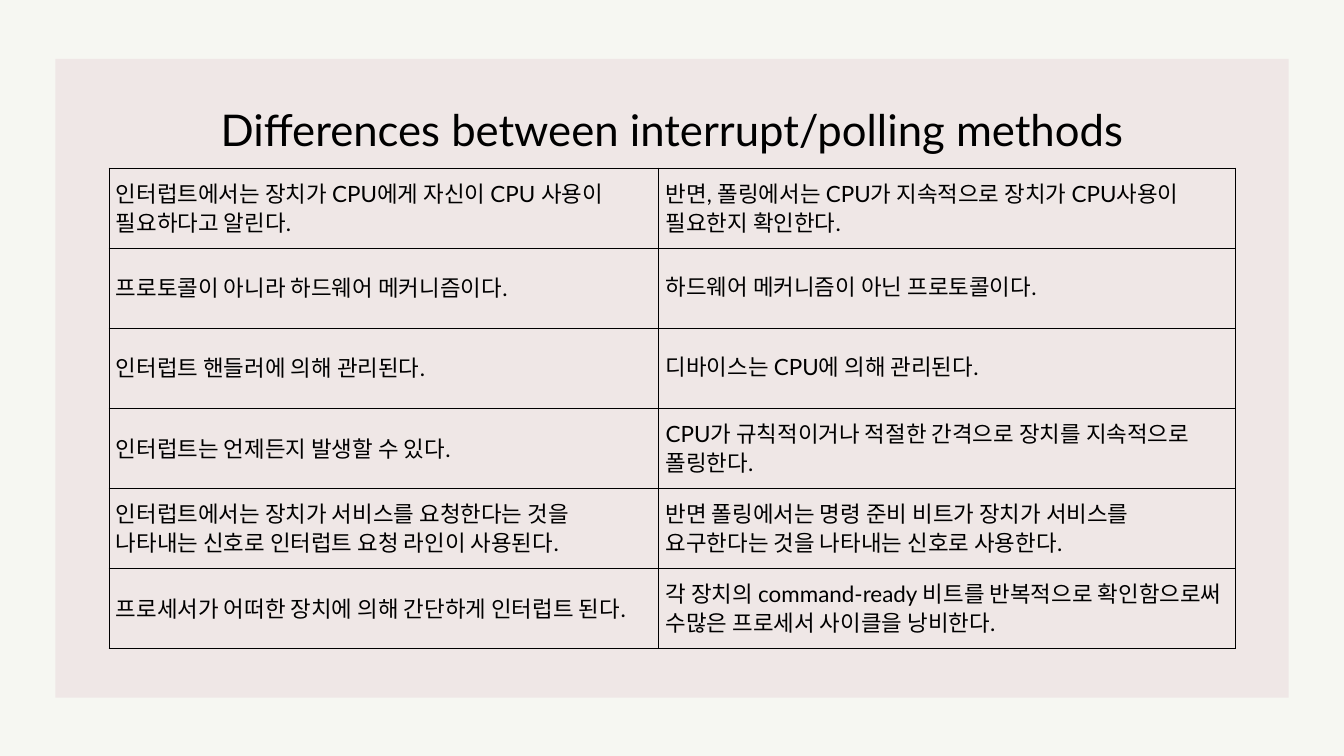
from lxml.etree import SubElement
from pptx import Presentation
from pptx.dml.color import RGBColor
from pptx.enum.shapes import MSO_SHAPE
from pptx.enum.text import MSO_ANCHOR, PP_ALIGN
from pptx.oxml.ns import qn
from pptx.util import Inches, Pt

COLORS = {"page": "F6F7F2", "panel": "EFE7E6", "ink": "000000"}
FONT = "Lato"
WIDE, HIGH = 26.67, 15
COLS = (10.91, 11.45)
ROW = 1.59
TITLE = "Differences between interrupt/polling methods"
ROWS = [
    ("인터럽트에서는 장치가 CPU에게 자신이 CPU 사용이 필요하다고 알린다.",
     "반면, 폴링에서는 CPU가 지속적으로 장치가 CPU사용이 필요한지 확인한다."),
    ("프로토콜이 아니라 하드웨어 메커니즘이다.",
     "하드웨어 메커니즘이 아닌 프로토콜이다."),
    ("인터럽트 핸들러에 의해 관리된다.",
     "디바이스는 CPU에 의해 관리된다."),
    ("인터럽트는 언제든지 발생할 수 있다.",
     "CPU가 규칙적이거나 적절한 간격으로 장치를 지속적으로 폴링한다."),
    ("인터럽트에서는 장치가 서비스를 요청한다는 것을 나타내는 신호로 인터럽트 요청 라인이 사용된다.",
     "반면 폴링에서는 명령 준비 비트가 장치가 서비스를 요구한다는 것을 나타내는 신호로 사용한다."),
    ("프로세서가 어떠한 장치에 의해 간단하게 인터럽트 된다.",
     "각 장치의 command-ready 비트를 반복적으로 확인함으로써 수많은 프로세서 사이클을 낭비한다."),
]
TIGHT = {(1, 1), (2, 1)}


def color(name):
    """Return the named colour."""
    return RGBColor.from_string(COLORS[name])


def style(para, size, spacing):
    """Set the font and line spacing of a paragraph."""
    para.font.name = FONT
    para.font.size = Pt(size)
    para.font.color.rgb = color("ink")
    para.line_spacing = spacing


def add_panel(slide):
    """Put the tinted panel behind everything else."""
    box = [Inches(n) for n in (1.1, 1.17, 24.47, 12.67)]
    panel = slide.shapes.add_shape(MSO_SHAPE.RECTANGLE, *box)
    panel.shadow.inherit = False
    panel.fill.solid()
    panel.fill.fore_color.rgb = color("panel")
    panel.line.fill.background()
    slide.shapes._spTree.insert(2, panel._element)


def set_title(slide):
    """Place and fill the title."""
    title = slide.shapes.title
    title.left, title.top = Inches(2.25), Inches(1.42)
    title.width, title.height = Inches(22.17), Inches(2.49)
    frame = title.text_frame
    frame.text = TITLE
    frame.word_wrap = True
    frame.vertical_anchor = MSO_ANCHOR.MIDDLE
    frame.margin_left = frame.margin_right = Inches(0.06)
    frame.margin_top = frame.margin_bottom = Inches(0.06)
    para = frame.paragraphs[0]
    para.alignment = PP_ALIGN.CENTER
    style(para, 62.4, 0.8)


def add_border(cell):
    """Draw a thin line on each side of a cell."""
    props = cell._tc.get_or_add_tcPr()
    for side in ("lnL", "lnR", "lnT", "lnB"):
        line = SubElement(props, qn(f"a:{side}"), w=str(Pt(1)))
        fill = SubElement(line, qn("a:solidFill"))
        SubElement(fill, qn("a:srgbClr"), val=COLORS["ink"])


def fill_cell(cell, text, tight):
    """Write one cell of the comparison."""
    cell.text = text
    cell.vertical_anchor = MSO_ANCHOR.MIDDLE
    cell.margin_left = cell.margin_right = Inches(0.14)
    cell.margin_top = cell.margin_bottom = Inches(0.19)
    para = cell.text_frame.paragraphs[0]
    style(para, 32, 0.8 if tight else 0.9)
    para.space_before = Pt(42 if tight else 45)
    add_border(cell)
    cell.fill.background()


def add_grid(slide):
    """Add the table that compares both methods."""
    box = [Inches(n) for n in (2.16, 3.33, sum(COLS), ROW * len(ROWS))]
    table = slide.shapes.add_table(len(ROWS), len(COLS), *box).table
    table.first_row = table.horz_banding = False
    for col, width in zip(table.columns, COLS):
        col.width = Inches(width)
    for r, texts in enumerate(ROWS):
        table.rows[r].height = Inches(ROW)
        for c, text in enumerate(texts):
            fill_cell(table.cell(r, c), text, (r, c) in TIGHT)


def main():
    """Build and save the slide."""
    deck = Presentation()
    deck.slide_width, deck.slide_height = Inches(WIDE), Inches(HIGH)
    slide = deck.slides.add_slide(deck.slide_layouts[5])
    slide.background.fill.solid()
    slide.background.fill.fore_color.rgb = color("page")
    add_panel(slide)
    set_title(slide)
    add_grid(slide)
    deck.save("out.pptx")


if __name__ == "__main__":
    main()
